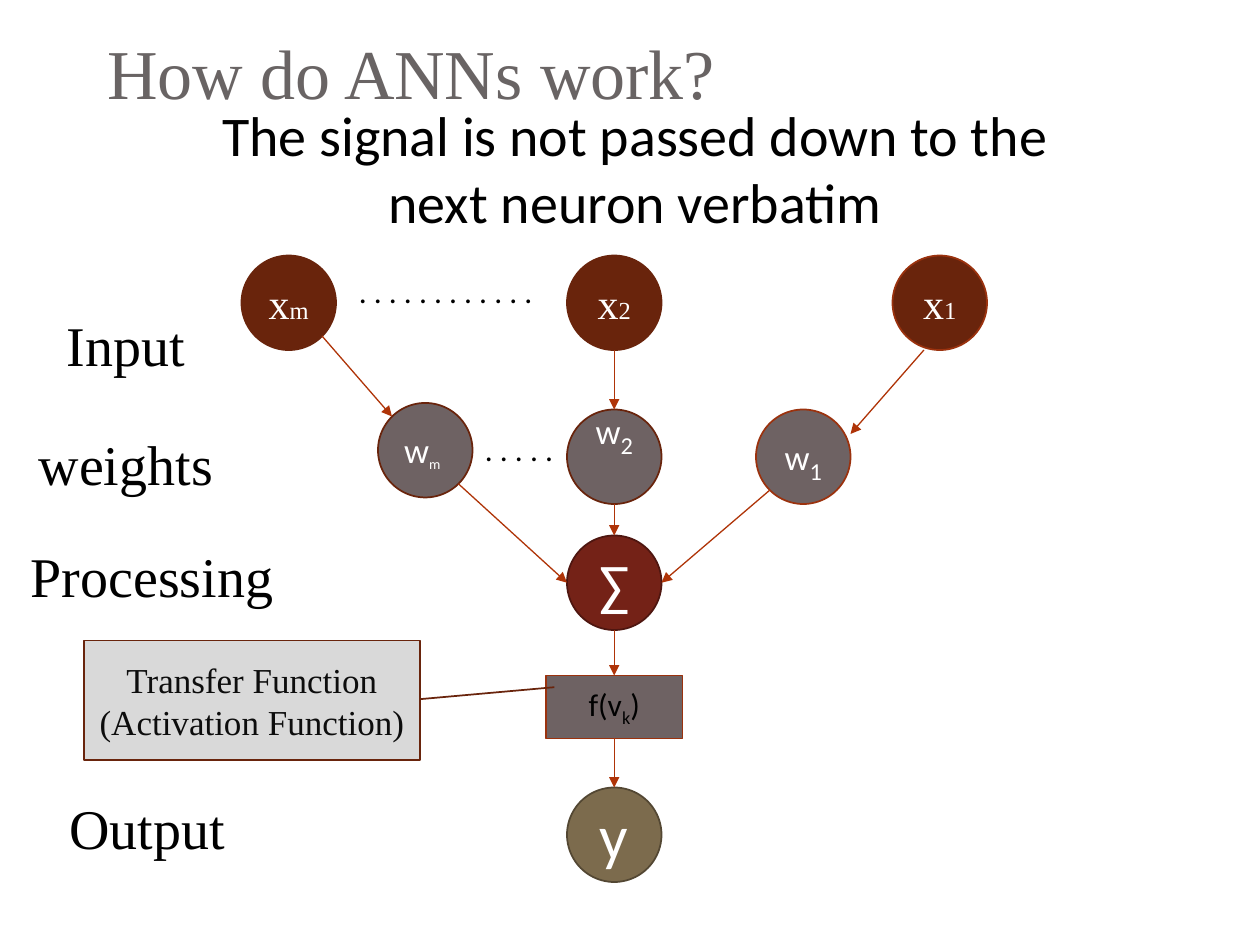
from dataclasses import dataclass

from lxml.etree import SubElement
from pptx import Presentation
from pptx.dml.color import RGBColor
from pptx.enum.shapes import MSO_CONNECTOR, MSO_SHAPE
from pptx.enum.text import MSO_ANCHOR, PP_ALIGN
from pptx.oxml.ns import qn
from pptx.util import Pt

SERIF, SANS = "Times New Roman", "Calibri"
BLACK = RGBColor(0x00, 0x00, 0x00)
WHITE = RGBColor(0xFF, 0xFF, 0xFF)
NEAR_BLACK = RGBColor(0x0D, 0x0D, 0x0D)
TITLE_GRAY = RGBColor(0x69, 0x64, 0x64)
LIGHT_GRAY = RGBColor(0xD9, 0xD9, 0xD9)
WARM_GRAY = RGBColor(0x6E, 0x62, 0x63)
BROWN = RGBColor(0x69, 0x24, 0x0C)
RUST = RGBColor(0x9B, 0x32, 0x0E)
ARROW = RGBColor(0xAF, 0x34, 0x08)
RED = RGBColor(0x74, 0x22, 0x17)
DARK_RED = RGBColor(0x4E, 0x16, 0x10)
OLIVE = RGBColor(0x7C, 0x6B, 0x4D)
DARK_OLIVE = RGBColor(0x53, 0x47, 0x33)

NODE = 54        # neuron diameter
CENTER_X = 351   # axis of the middle column


@dataclass
class Run:
    text: str
    size: float
    font: str = SANS
    color: RGBColor = WHITE
    subscript: bool = False


@dataclass
class Block:
    left: float
    top: float
    width: float
    height: float
    fill: RGBColor
    line: RGBColor
    runs: list[Run]
    kind: MSO_SHAPE = MSO_SHAPE.OVAL
    align: PP_ALIGN = PP_ALIGN.CENTER


def write(tf, paragraphs: list[list[Run]], align: PP_ALIGN, anchor: MSO_ANCHOR) -> None:
    tf.word_wrap = True
    tf.vertical_anchor = anchor
    tf.margin_left = tf.margin_right = Pt(7.2)
    tf.margin_top = tf.margin_bottom = Pt(3.6)
    for i, runs in enumerate(paragraphs):
        p = tf.paragraphs[0] if i == 0 else tf.add_paragraph()
        p.alignment = align
        for run in runs:
            r = p.add_run()
            r.text = run.text
            r.font.name = run.font
            r.font.size = Pt(run.size)
            r.font.color.rgb = run.color
            if run.subscript:
                r._r.get_or_add_rPr().set("baseline", "-25000")


def add_block(s, b: Block):
    sp = s.shapes.add_shape(b.kind, Pt(b.left), Pt(b.top), Pt(b.width), Pt(b.height))
    sp.shadow.inherit = False
    sp.fill.solid()
    sp.fill.fore_color.rgb = b.fill
    sp.line.color.rgb = b.line
    sp.line.width = Pt(1)
    write(sp.text_frame, [b.runs], b.align, MSO_ANCHOR.MIDDLE)
    return sp


def add_node(s, left: float, top: float, fill: RGBColor, line: RGBColor,
             runs: list[Run], align: PP_ALIGN = PP_ALIGN.CENTER):
    return add_block(s, Block(left, top, NODE, NODE, fill, line, runs, align=align))


def add_text(s, left: float, top: float, width: float, height: float,
             paragraphs: list[list[Run]], align: PP_ALIGN = PP_ALIGN.CENTER) -> None:
    sp = s.shapes.add_textbox(Pt(left), Pt(top), Pt(width), Pt(height))
    write(sp.text_frame, paragraphs, align, MSO_ANCHOR.TOP)


def add_arrow(s, x1: float, y1: float, x2: float, y2: float) -> None:
    c = s.shapes.add_connector(MSO_CONNECTOR.STRAIGHT, Pt(x1), Pt(y1), Pt(x2), Pt(y2))
    c.line.color.rgb = ARROW
    c.line.width = Pt(0.75)
    SubElement(c.line._get_or_add_ln(), qn("a:tailEnd")).set("type", "triangle")
    SubElement(c._element.spPr, qn("a:effectLst"))


def main() -> None:
    prs = Presentation()
    prs.slide_width, prs.slide_height = Pt(720), Pt(540)
    s = prs.slides.add_slide(prs.slide_layouts[5])

    # Title and statement
    title = s.shapes.title
    title.left, title.top, title.width, title.height = Pt(54), Pt(0), Pt(612), Pt(72)
    write(title.text_frame, [[Run("How do ANNs work?", 40, SERIF, TITLE_GRAY)]],
          PP_ALIGN.LEFT, MSO_ANCHOR.BOTTOM)
    title.text_frame.margin_bottom = Pt(7.2)
    statement = ("The signal is not passed down to the", "next neuron verbatim")
    add_text(s, 30, 54, 666, 84, [[Run(text, 32, color=BLACK)] for text in statement])

    # Stage labels
    for text, top, width in (("Input", 174, 144), ("weights", 242, 144),
                             ("Processing", 306, 174), ("Output", 450, 168)):
        add_text(s, 0, top, width, 46, [[Run(text, 32, SERIF, BLACK)]])

    # Input neurons
    for index, left, line in (("1", 510, RUST), ("2", 324, BROWN), ("m", 138, BROWN)):
        add_node(s, left, 146, BROWN, line,
                 [Run("x", 24, SERIF), Run(index, 14, SERIF)])

    # Weights
    add_node(s, 432, 234, WARM_GRAY, RUST, [Run("w", 20), Run("1", 24, subscript=True)])
    w2 = add_node(s, 324, 234, WARM_GRAY, BROWN,
                  [Run("w", 20), Run("2", 24, subscript=True)])
    w2.text_frame.margin_bottom = Pt(33)  # lifts the label to the top of the circle
    add_node(s, 216, 230.25, WARM_GRAY, BROWN,
             [Run("w", 20), Run("m", 14, subscript=True)], PP_ALIGN.LEFT)

    # Ellipses between neurons
    for count, left, top, width in ((12, 198, 152, 114), (5, 270, 242, 54)):
        add_text(s, left, top, width, 50,
                 [[Run(" ".join("." * count), 18, color=BLACK)]], PP_ALIGN.LEFT)

    # Sum, transfer function and output
    add_node(s, 324, 306, RED, DARK_RED, [Run("∑", 32)])
    add_block(s, Block(312, 386, 78, 36, WARM_GRAY, RUST,
                       [Run("f(v", 18, color=BLACK),
                        Run("k", 18, color=BLACK, subscript=True),
                        Run(")", 18, color=BLACK)], MSO_SHAPE.RECTANGLE))
    add_node(s, 324, 450, OLIVE, DARK_OLIVE, [Run("y", 36)])

    # Callout on the transfer function
    callout = add_block(s, Block(48, 366, 192, 68.4, LIGHT_GRAY, BROWN,
                                 [Run("Transfer Function (Activation Function)",
                                      20, SERIF, NEAR_BLACK)],
                                 MSO_SHAPE.LINE_CALLOUT_1))
    for i, value in enumerate((0.49, 1, 0.39, 1.4)):
        callout.adjustments[i] = value

    # Signal flow: down the middle column, then the side branches
    for y1, y2 in ((200, 234), (288, 306), (360, 386), (422, 450)):
        add_arrow(s, CENTER_X, y1, CENTER_X, y2)
    for ends in ((184, 192, 224, 238), (528, 200, 486, 248),
                 (440, 280, 378, 333), (262, 276.5, 324, 333)):
        add_arrow(s, *ends)

    prs.save("out.pptx")


if __name__ == "__main__":
    main()
